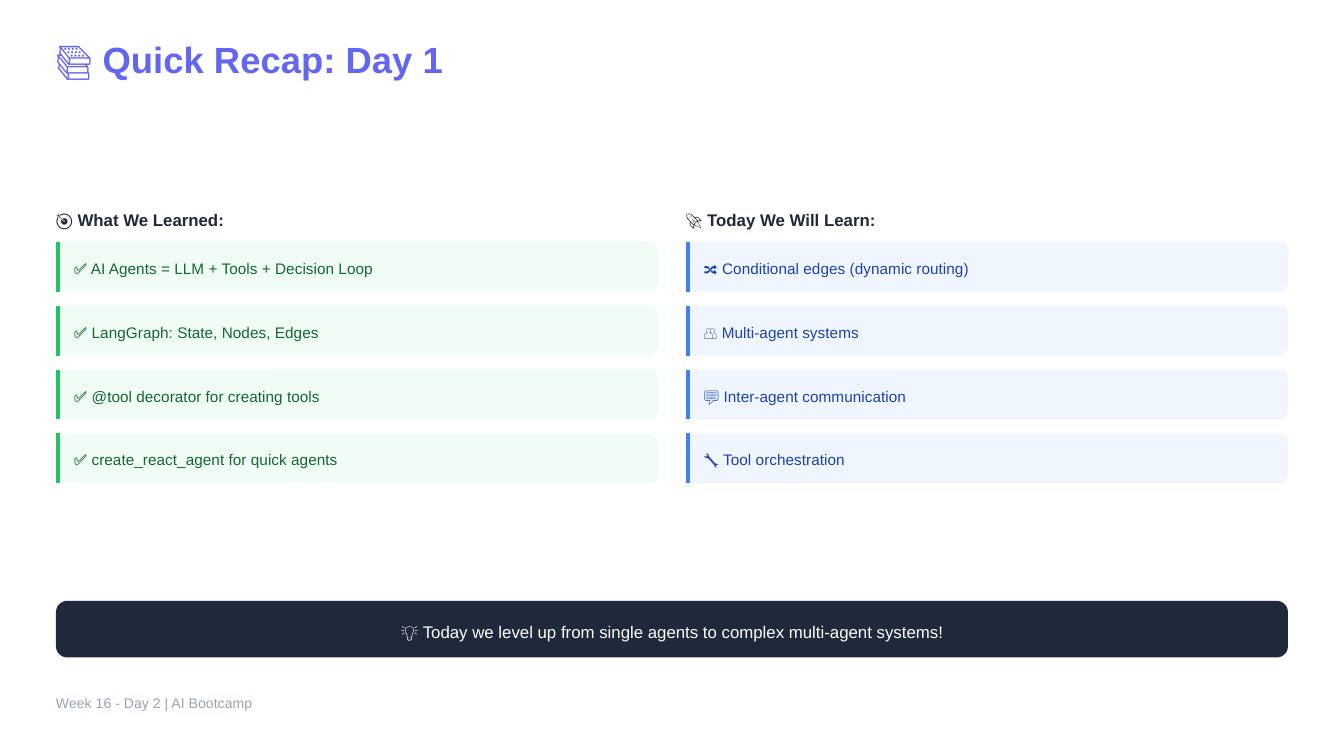
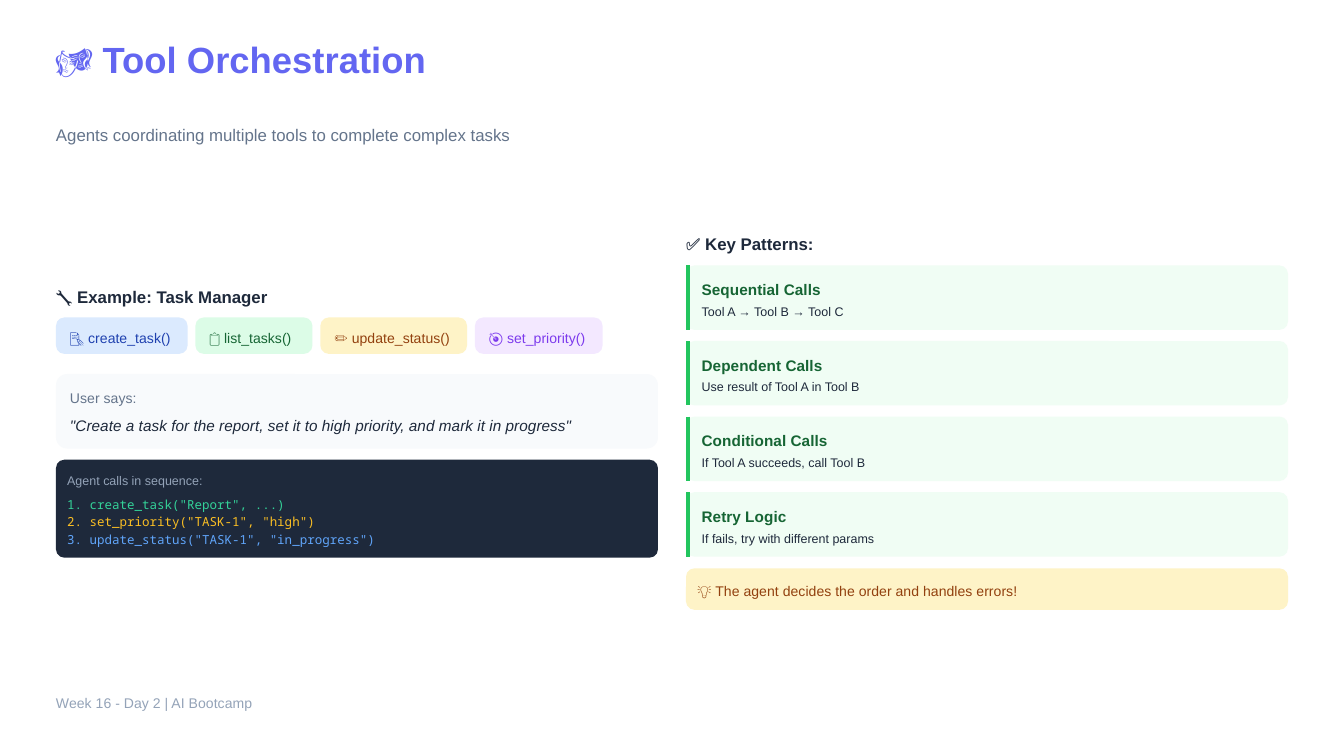
from lxml import etree
from pptx import Presentation
from pptx import util as u
from pptx.dml.color import RGBColor
from pptx.enum import shapes, text
from pptx.oxml.ns import qn

COLUMNS, ROWS = 24, 13.5
LEFT, RIGHT = 1, 12.25          # left edges of the two halves, in columns
HALF, FULL = 10.75, 22          # widths of a half and of the whole content

COLORS = {
    "paper": "FFFFFF", "title": "6366F1", "ink": "1E293B",
    "muted": "64748B", "faint": "94A3B8", "mist": "F8FAFC",
    "green": "166534", "green bar": "22C55E", "green card": "F0FDF4", "green chip": "DCFCE7",
    "blue": "1E40AF", "blue bar": "3B82F6", "blue card": "EFF6FF", "blue chip": "DBEAFE",
    "amber": "92400E", "amber chip": "FEF3C7",
    "violet": "7C3AED", "violet chip": "F3E8FF",
    "code green": "34D399", "code yellow": "FBBF24", "code blue": "60A5FA",
}
SIZES = {"title": 19.5, "body": 9, "item": 8.25, "small": 7.5, "tiny": 6.75}


class Deck:
    def __init__(self):
        self.prs = Presentation()
        self.prs.slide_width, self.prs.slide_height = u.Inches(10), u.Inches(5.625)
        self.slide = None

    def x(self, columns):
        return round(self.prs.slide_width * columns / COLUMNS)

    def y(self, rows):
        return round(self.prs.slide_height * rows / ROWS)

    def color(self, name):
        return RGBColor.from_string(COLORS[name])

    def new_slide(self, title):
        """Start a slide with the shared background, title and footer."""
        self.slide = self.prs.slides.add_slide(self.prs.slide_layouts[6])
        background = self.slide.background.fill
        background.solid()
        background.fore_color.rgb = self.color("paper")
        self.text(LEFT, 0.8, 11.25, title, "title", "title", bold=True, leading=1)
        self.text(LEFT, 12.36, 22.44, "Week 16 - Day 2 | AI Bootcamp", "small", "faint")

    def text(self, col, row, width, words, size, color, bold=False, italic=False,
             font="Arial", align=text.PP_ALIGN.LEFT, leading=1.4):
        """Place one line of text in a box as high as the line."""
        line_height = u.Pt(SIZES[size] * leading)
        box = self.slide.shapes.add_textbox(self.x(col), self.y(row), self.x(width), line_height)
        frame = box.text_frame
        frame.word_wrap = True
        frame.margin_left = frame.margin_right = frame.margin_top = frame.margin_bottom = 0
        paragraph = frame.paragraphs[0]
        paragraph.alignment = align
        paragraph.line_spacing = line_height
        run = paragraph.add_run()
        run.text = words
        run.font.name, run.font.size = font, u.Pt(SIZES[size])
        run.font.bold, run.font.italic = bold, italic
        run.font.color.rgb = self.color(color)

    def heading(self, col, row, words):
        self.text(col, row, 10.97, words, "body", "ink", bold=True)

    def panel(self, col, row, width, height, fill, radius=0.15):
        panel = self.slide.shapes.add_shape(
            shapes.MSO_SHAPE.ROUNDED_RECTANGLE,
            self.x(col), self.y(row), self.x(width), self.y(height))
        panel.adjustments[0] = radius / height
        panel.shadow.inherit = False
        panel.fill.solid()
        panel.fill.fore_color.rgb = self.color(fill)
        panel.line.fill.background()

    def card(self, col, row, height, hue):
        """Half-width panel with an accent bar on its left edge."""
        self.panel(col, row, HALF, height, f"{hue} card")
        bar_x = self.x(col + 0.04)
        bar = self.slide.shapes.add_connector(
            shapes.MSO_CONNECTOR.STRAIGHT, bar_x, self.y(row), bar_x, self.y(row + height))
        bar.line.color.rgb = self.color(f"{hue} bar")
        bar.line.width = u.Pt(2.25)
        etree.SubElement(bar.element.spPr, qn("a:effectLst"))

    def checklist(self, col, heading, items, hue):
        self.heading(col, 3.68, heading)
        for i, item in enumerate(items):
            row = 4.32 + 1.14 * i
            self.card(col, row, 0.89, hue)
            self.text(col + 0.32, row + 0.25, 10.37, item, "item", hue)

    def chips(self, row, chips, gap=0.14):
        """Row of labels, each as wide as given, with equal gaps."""
        col = LEFT
        for words, width, hue in chips:
            self.panel(col, row, width, 0.65, f"{hue} chip")
            self.text(col + 0.25, row + 0.17, width - 0.46, words, "small", hue)
            col += width + gap


def recap(deck):
    deck.new_slide("📚 Quick Recap: Day 1")
    deck.checklist(LEFT, "🎯 What We Learned:", [
        "✅ AI Agents = LLM + Tools + Decision Loop",
        "✅ LangGraph: State, Nodes, Edges",
        "✅ @tool decorator for creating tools",
        "✅ create_react_agent for quick agents",
    ], "green")
    deck.checklist(RIGHT, "🚀 Today We Will Learn:", [
        "🔀 Conditional edges (dynamic routing)",
        "👥 Multi-agent systems",
        "💬 Inter-agent communication",
        "🔧 Tool orchestration",
    ], "blue")
    deck.panel(LEFT, 10.73, FULL, 1.01, "ink", radius=0.2)
    deck.text(LEFT + 0.08, 11.04, FULL - 0.16,
              "💡 Today we level up from single agents to complex multi-agent systems!",
              "body", "paper", align=text.PP_ALIGN.CENTER)


def task_manager(deck):
    deck.heading(LEFT, 5.06, "🔧 Example: Task Manager")
    deck.chips(5.67, [
        ("📝 create_task()", 2.35, "blue"),
        ("📋 list_tasks()", 2.09, "green"),
        ("✏️ update_status()", 2.62, "amber"),
        ("🎯 set_priority()", 2.28, "violet"),
    ])

    deck.panel(LEFT, 6.68, HALF, 1.33, "mist", radius=0.2)
    deck.text(LEFT + 0.25, 6.91, 10.46, "User says:", "small", "muted")
    deck.text(LEFT + 0.25, 7.37, 10.46,
              '"Create a task for the report, set it to high priority, and mark it in progress"',
              "item", "ink", italic=True)

    deck.panel(LEFT, 8.21, HALF, 1.75, "ink")
    deck.text(LEFT + 0.2, 8.4, 10.56, "Agent calls in sequence:", "tiny", "faint")
    calls = [
        ('1. create_task("Report", ...)', "code green"),
        ('2. set_priority("TASK-1", "high")', "code yellow"),
        ('3. update_status("TASK-1", "in_progress")', "code blue"),
    ]
    for i, (call, color) in enumerate(calls):
        deck.text(LEFT + 0.2, 8.83 + 0.31 * i, 10.56, call, "tiny", color, font="Noto Sans Mono")


def key_patterns(deck):
    deck.heading(RIGHT, 4.12, "✅ Key Patterns:")
    patterns = [
        ("Sequential Calls", "Tool A → Tool B → Tool C"),
        ("Dependent Calls", "Use result of Tool A in Tool B"),
        ("Conditional Calls", "If Tool A succeeds, call Tool B"),
        ("Retry Logic", "If fails, try with different params"),
    ]
    for i, (pattern, meaning) in enumerate(patterns):
        row = 4.74 + 1.35 * i
        deck.card(RIGHT, row, 1.15, "green")
        deck.text(RIGHT + 0.28, row + 0.21, 10.49, pattern, "item", "green", bold=True)
        deck.text(RIGHT + 0.28, row + 0.64, 10.49, meaning, "tiny", "ink")
    deck.panel(RIGHT, 10.15, HALF, 0.74, "amber chip")
    deck.text(RIGHT + 0.2, 10.35, 10.56, "💡 The agent decides the order and handles errors!",
              "small", "amber")


def orchestration(deck):
    deck.new_slide("🎭 Tool Orchestration")
    deck.text(LEFT, 2.16, 22.44, "Agents coordinating multiple tools to complete complex tasks",
              "body", "muted")
    task_manager(deck)
    key_patterns(deck)


def main():
    deck = Deck()
    recap(deck)
    orchestration(deck)
    deck.prs.save("out.pptx")


if __name__ == "__main__":
    main()
